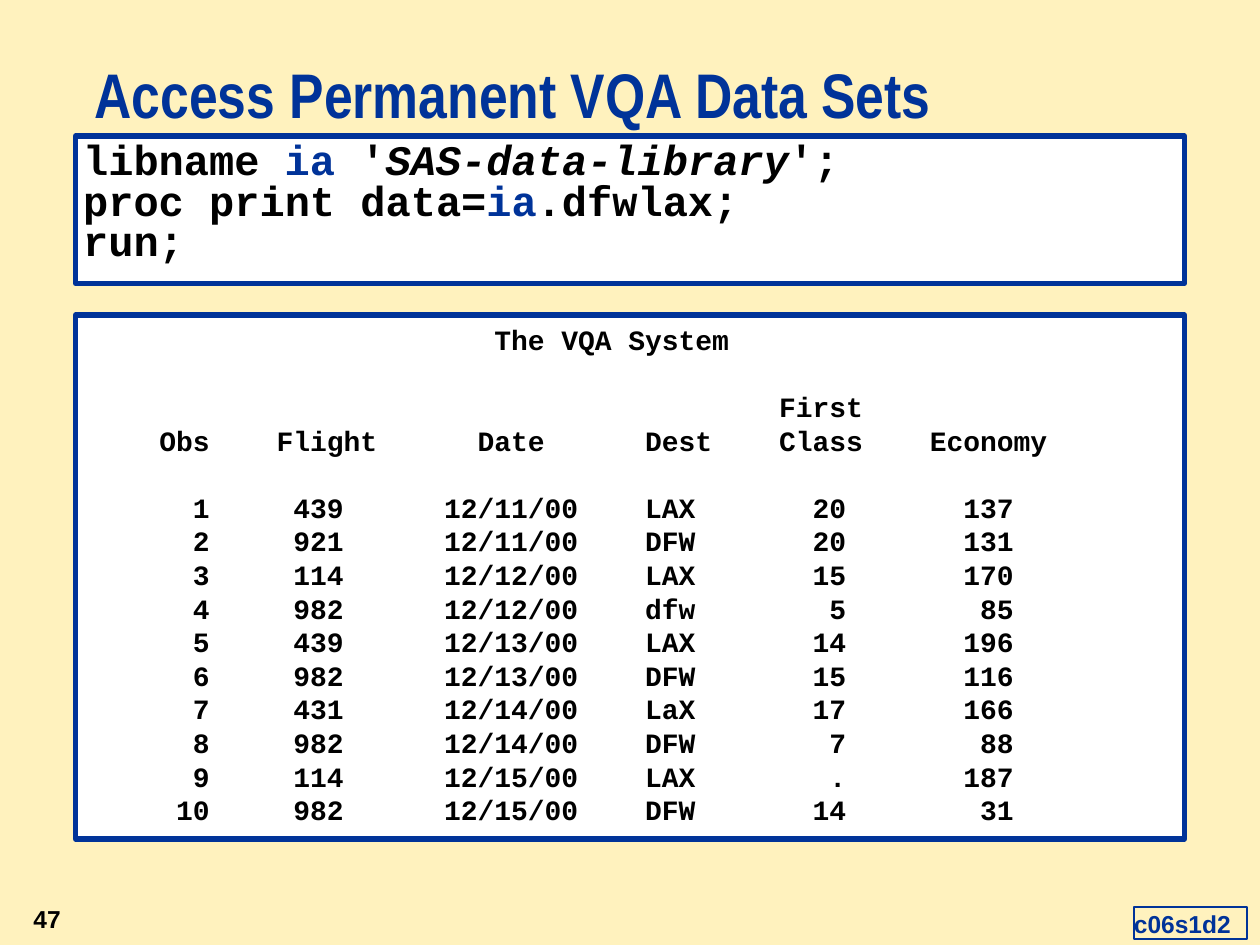
"""Build the slide on accessing permanent data sets."""
from pptx import Presentation
from pptx import util as u
from pptx.dml.color import RGBColor
from pptx.enum import shapes, text

COLORS = {"bg": "FFF2BE", "blue": "003399", "black": "000000", "white": "FFFFFF"}
CODE = [
    [("libname ", "black", False), ("ia ", "blue", False), ("'", "black", False),
     ("SAS-data-library", "black", True), ("';", "black", False)],
    [("proc print data=", "black", False), ("ia", "blue", False),
     (".dfwlax;", "black", False)],
    [("run;", "black", False)],
]
FLIGHTS = [
    (439, "12/11/00", "LAX", 20, 137), (921, "12/11/00", "DFW", 20, 131),
    (114, "12/12/00", "LAX", 15, 170), (982, "12/12/00", "dfw", 5, 85),
    (439, "12/13/00", "LAX", 14, 196), (982, "12/13/00", "DFW", 15, 116),
    (431, "12/14/00", "LaX", 17, 166), (982, "12/14/00", "DFW", 7, 88),
    (114, "12/15/00", "LAX", ".", 187), (982, "12/15/00", "DFW", 14, 31),
]


def set_font(font, name, size, color):
    font.name, font.size, font.bold = name, u.Pt(size), True
    font.color.rgb = RGBColor.from_string(COLORS[color])


def add_box(left, top, width, height, line, margins, fill=None):
    sp = s.shapes.add_shape(shapes.MSO_SHAPE.RECTANGLE, u.Inches(left), u.Inches(top),
                            u.Inches(width), u.Inches(height))
    sp.shadow.inherit = False
    if fill:
        sp.fill.solid()
        sp.fill.fore_color.rgb = RGBColor.from_string(COLORS[fill])
    else:
        sp.fill.background()
    sp.line.color.rgb = RGBColor.from_string(COLORS["blue"])
    sp.line.width = u.Pt(line)
    tf = sp.text_frame
    tf.word_wrap = True
    tf.vertical_anchor = text.MSO_ANCHOR.TOP
    tf.margin_left = tf.margin_right = u.Inches(margins[0])
    tf.margin_top = tf.margin_bottom = u.Inches(margins[1])
    return tf


prs = Presentation()
prs.slide_width, prs.slide_height = u.Inches(10), u.Inches(7.5)
s = prs.slides.add_slide(prs.slide_layouts[5])
s.background.fill.solid()
s.background.fill.fore_color.rgb = RGBColor.from_string(COLORS["bg"])

title = s.shapes.title
title.left, title.top = u.Inches(0.75), u.Inches(0.5)
title.width, title.height = u.Inches(8.58), u.Inches(0.75)
tf = title.text_frame
tf.text = "Access Permanent VQA Data Sets"
tf.auto_size = text.MSO_AUTO_SIZE.NONE
tf.vertical_anchor = text.MSO_ANCHOR.TOP
tf.margin_left = tf.margin_right = tf.margin_top = tf.margin_bottom = 0
p = tf.paragraphs[0]
p.alignment = text.PP_ALIGN.LEFT
p.line_spacing = u.Pt(39)
set_font(p.font, "Arial Narrow", 36, "blue")

tf = add_box(0.6, 1.08, 8.8, 1.17, 3, (0.06, 0.06), "white")
for i, runs in enumerate(CODE):
    p = tf.add_paragraph() if i else tf.paragraphs[0]
    p.alignment = text.PP_ALIGN.LEFT
    p.line_spacing = 0.8
    for words, color, italic in runs:
        r = p.add_run()
        r.text = words
        set_font(r.font, "Courier New", 24, color)
        r.font.italic = italic

header = [f"{'The VQA System':>39}", f"{'First':>47}",
          "     Obs    Flight      Date      Dest    Class    Economy"]
rows = [f"{obs:>8}{flight:>8}{date:>14}{dest:>7}{first:>9}{economy:>10}"
        for obs, (flight, date, dest, first, economy) in enumerate(FLIGHTS, 1)]
tf = add_box(0.6, 2.5, 8.8, 4.16, 3, (0, 0.06), "white")
for i, line in enumerate(header + rows):
    p = tf.add_paragraph() if i else tf.paragraphs[0]
    p.text = line
    p.alignment = text.PP_ALIGN.LEFT
    if i in (1, len(header)):
        p.space_before = u.Pt(19.2)
    set_font(p.font, "Courier New", 16, "black")

tf = add_box(9, 7.2, 0.9, 0.25, 1, (0, 0))
tf.vertical_anchor = text.MSO_ANCHOR.BOTTOM
p = tf.paragraphs[0]
p.text = "c06s1d2"
p.alignment = text.PP_ALIGN.LEFT
set_font(p.font, "Arial", 14, "blue")

tb = s.shapes.add_textbox(u.Inches(0), u.Inches(7.08), u.Inches(0.58), u.Inches(0.42))
tf = tb.text_frame
tf.word_wrap = True
tf.vertical_anchor = text.MSO_ANCHOR.MIDDLE
p = tf.paragraphs[0]
p.text = "47"
p.alignment = text.PP_ALIGN.RIGHT
set_font(p.font, "Arial", 14, "black")

prs.save("out.pptx")
